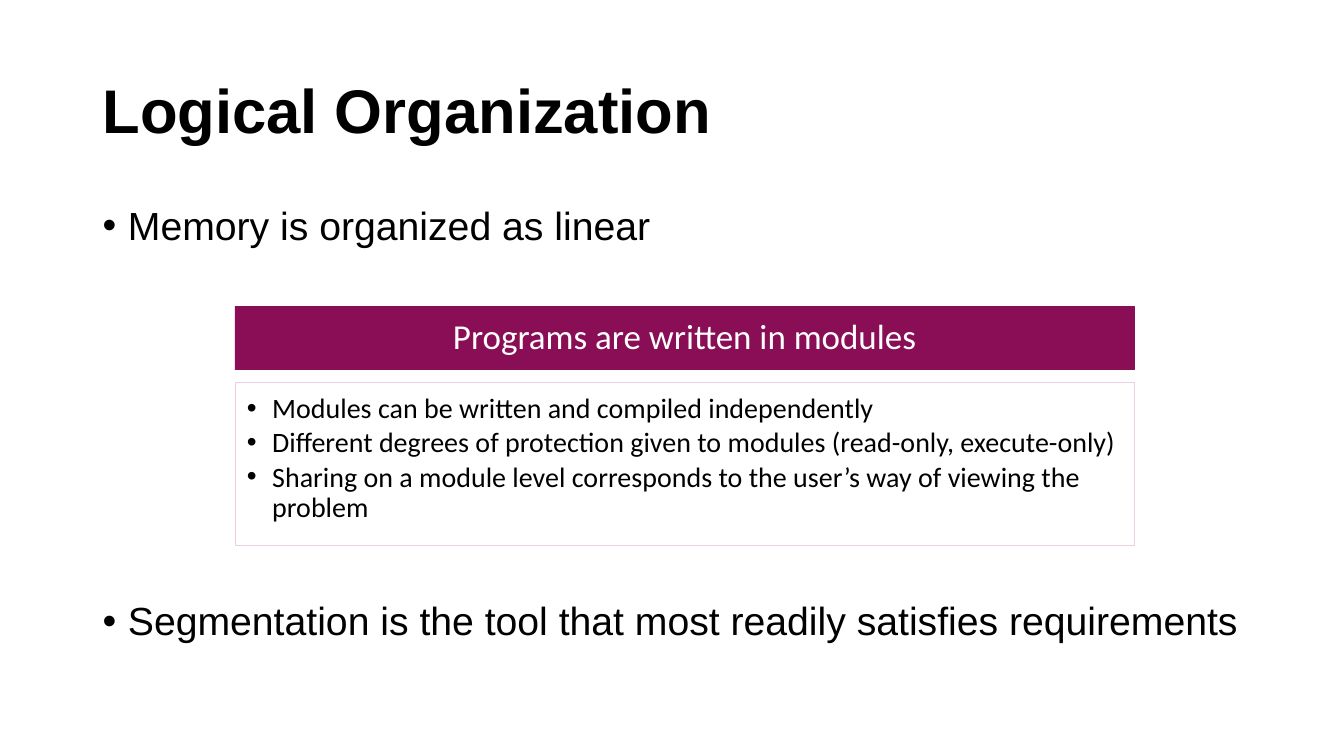
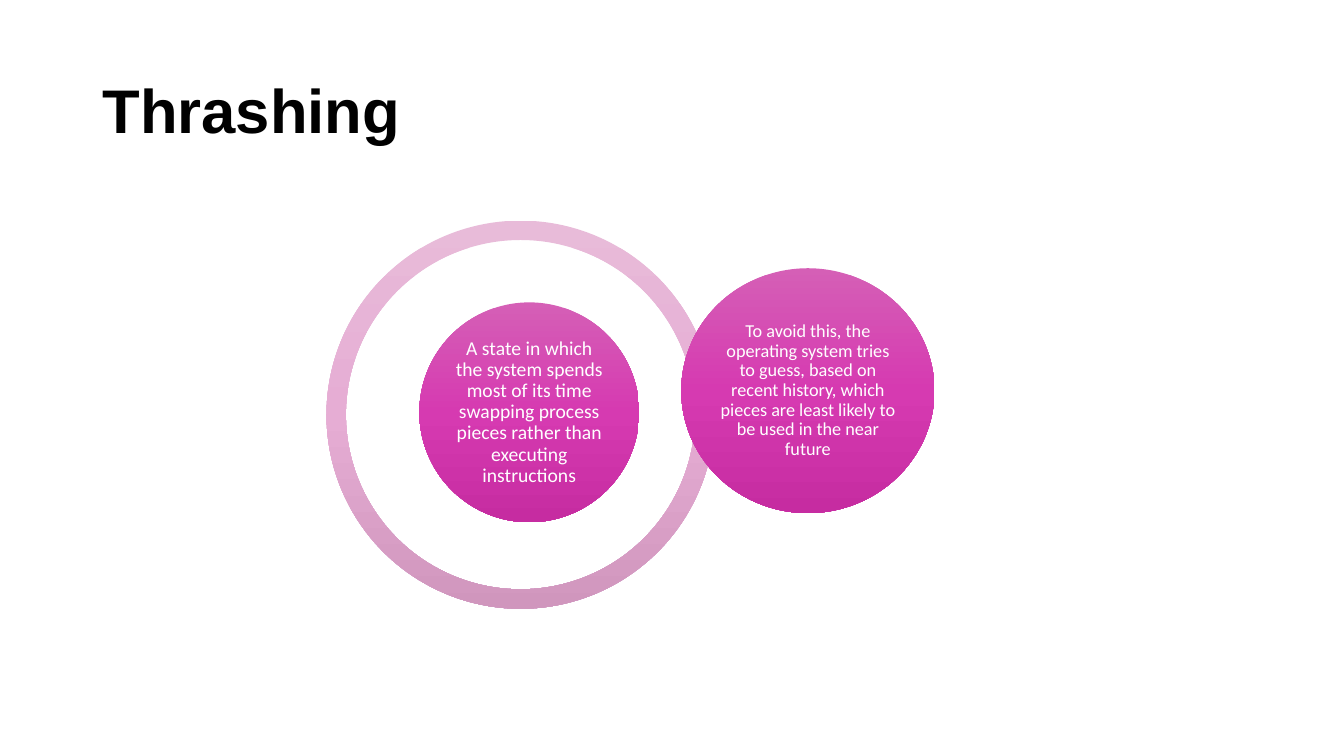
from copy import deepcopy

from lxml import etree
from pptx import Presentation
from pptx import util as u
from pptx.dml import color as dml
from pptx.enum import shapes, text
from pptx.oxml import ns

BLACK, WHITE, PLUM, PALE = "000000", "FFFFFF", "890E56", "EDCFE3"
ORCHID = ["D55FB6", "D63AB1", "C62CA1"]
ROSE = ["E8BBD9", "E6ADD4", "D096BD"]


def rgb(value):
    return dml.RGBColor.from_string(value)


def write(paragraph, words, size, face, hue, bold=False, bullet=False, align=text.PP_ALIGN.LEFT):
    paragraph.alignment = align
    paragraph.line_spacing = 0.9
    paragraph.space_before = paragraph.space_after = u.Pt(0)
    if bullet:
        properties = paragraph._p.get_or_add_pPr()
        properties.set("marL", str(u.Cm(0.64)))
        properties.set("indent", str(-u.Cm(0.64)))
        etree.SubElement(properties, ns.qn("a:buFont"), typeface="Arial")
        etree.SubElement(properties, ns.qn("a:buChar"), char="•")
    run = paragraph.add_run()
    run.text = words
    run.font.size = u.Pt(size)
    run.font.name = face
    run.font.bold = bold
    run.font.color.rgb = rgb(hue)


deck = Presentation()
deck.slide_width, deck.slide_height = u.Cm(33.87), u.Cm(19.05)

pages = []
for heading, layout in [("Logical Organization", 1), ("Thrashing", 5)]:
    page = deck.slides.add_slide(deck.slide_layouts[layout])
    title = page.shapes.title
    title.left, title.top, title.width, title.height = u.Cm(2.33), u.Cm(1.02), u.Cm(29.21), u.Cm(3.68)
    title.text_frame.auto_size = text.MSO_AUTO_SIZE.NONE
    title.text_frame.vertical_anchor = text.MSO_ANCHOR.MIDDLE
    write(title.text_frame.paragraphs[0], heading, 44, "Arial", BLACK, bold=True)
    pages.append(page)
organization, thrashing = pages

points = organization.placeholders[1]
points.left, points.top, points.width, points.height = u.Cm(2.33), u.Cm(5.08), u.Cm(29.21), u.Cm(12.09)
points.text_frame.auto_size = text.MSO_AUTO_SIZE.NONE
linear = points.text_frame.paragraphs[0]
write(linear, "Memory is organized as linear", 28, "Arial", BLACK, bullet=True)
segmentation = points.text_frame.add_paragraph()
write(segmentation, "Segmentation is the tool that most readily satisfies requirements", 28, "Arial", BLACK, bullet=True)
segmentation.space_before = u.Pt(252)

panels = []
for top, height, fill, edge in [(7.72, 1.6, PLUM, PLUM), (9.63, 4.11, WHITE, PALE)]:
    panel = organization.shapes.add_shape(
        shapes.MSO_SHAPE.RECTANGLE, u.Cm(5.92), u.Cm(top), u.Cm(22.66), u.Cm(height))
    panel.shadow.inherit = False
    panel.fill.solid()
    panel.fill.fore_color.rgb = rgb(fill)
    panel.line.color.rgb = rgb(edge)
    panel.line.width = u.Pt(0.5)
    panels.append(panel.text_frame)
banner, details = panels

write(banner.paragraphs[0], "Programs are written in modules", 25, "Calibri", WHITE, align=text.PP_ALIGN.CENTER)

details.vertical_anchor = text.MSO_ANCHOR.TOP
details.margin_left = details.margin_top = u.Cm(0.3)
details.margin_right, details.margin_bottom = u.Cm(0.4), u.Cm(0.43)
for index, benefit in enumerate([
    "Modules can be written and compiled independently",
    "Different degrees of protection given to modules (read-only, execute-only)",
    "Sharing on a module level corresponds to the user’s way of viewing the problem",
]):
    line = details.add_paragraph() if index else details.paragraphs[0]
    write(line, benefit, 20, "Calibri", BLACK, bullet=True)
    line.space_after = u.Pt(3)

state = ("A state in which the system spends most of its time swapping process pieces "
         "rather than executing instructions")
remedy = ("To avoid this, the operating system tries to guess, based on recent history, "
          "which pieces are least likely to be used in the near future")
for preset, left, top, width, height, hues, words, size in [
    (shapes.MSO_SHAPE.BLOCK_ARC, 8.23, 5.56, 9.78, 9.78, ROSE, "", 0),
    (shapes.MSO_SHAPE.OVAL, 10.57, 7.62, 5.54, 5.54, ORCHID, state, 14),
    (shapes.MSO_SHAPE.OVAL, 17.17, 6.76, 6.38, 6.17, ORCHID, remedy, 13),
]:
    circle = thrashing.shapes.add_shape(preset, u.Cm(left), u.Cm(top), u.Cm(width), u.Cm(height))
    circle.shadow.inherit = False
    circle.line.fill.background()
    circle.fill.gradient()
    circle.fill.gradient_angle = 270
    stop_list = circle._element.spPr.find(ns.qn("a:gradFill")).find(ns.qn("a:gsLst"))
    stop_list.append(deepcopy(stop_list[-1]))
    for stop, hue, position in zip(circle.fill.gradient_stops, hues, (0, 0.5, 1)):
        stop.color.rgb = rgb(hue)
        stop.position = position
    if words:
        frame = circle.text_frame
        frame.margin_left = frame.margin_right = frame.margin_top = frame.margin_bottom = u.Cm(0.05)
        write(frame.paragraphs[0], words, size, "Calibri", WHITE, align=text.PP_ALIGN.CENTER)
    else:
        for index, setting in enumerate((0.08, 215.92, 0.05)):
            circle.adjustments[index] = setting

deck.save("out.pptx")
